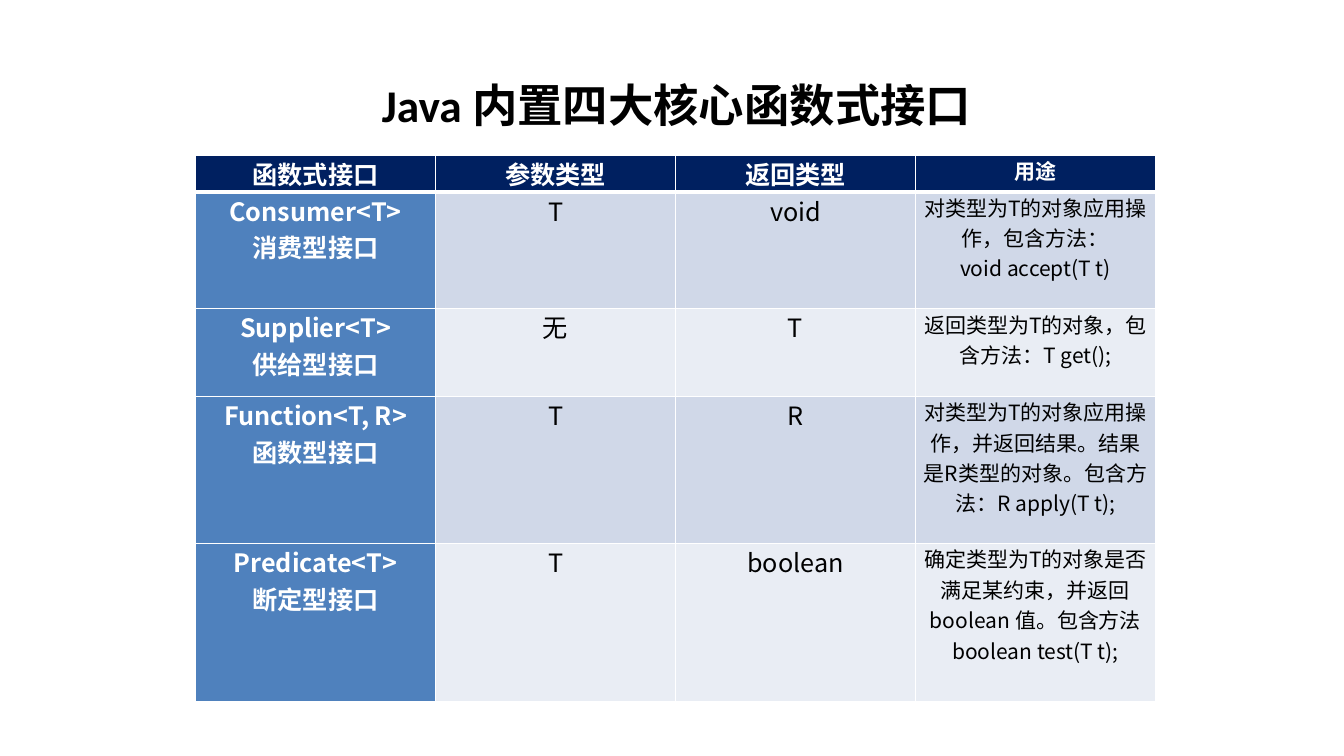
import pptx
import pptx.dml.color
import pptx.enum.text
import pptx.oxml.ns
import pptx.util
from lxml import etree

Inches = pptx.util.Inches
Pt = pptx.util.Pt
RGBColor = pptx.dml.color.RGBColor
qn = pptx.oxml.ns.qn

BLACK = RGBColor(0x00, 0x00, 0x00)
WHITE = RGBColor(0xFF, 0xFF, 0xFF)
NAVY = RGBColor(0x00, 0x20, 0x60)
BLUE = RGBColor(0x4F, 0x81, 0xBD)
BANDS = (RGBColor(0xD0, 0xD8, 0xE8), RGBColor(0xE9, 0xED, 0xF4))
CJK_FONT = "Noto Sans CJK SC"

TITLE = "Java 内置四大核心函数式接口"
HEADER = ("函数式接口", "参数类型", "返回类型", "用途")
INTERFACES = (
    ("Consumer<T>\n消费型接口", "T", "void",
     "对类型为T的对象应用操作，包含方法：\nvoid accept(T t)"),
    ("Supplier<T>\n供给型接口", "无", "T",
     "返回类型为T的对象，包含方法：T get();"),
    ("Function<T, R>\n函数型接口", "T", "R",
     "对类型为T的对象应用操作，并返回结果。结果是R类型的对象。包含方法：R apply(T t);"),
    ("Predicate<T>\n断定型接口", "T", "boolean",
     "确定类型为T的对象是否满足某约束，并返回 boolean 值。包含方法\nboolean test(T t);"),
)
ROW_HEIGHTS = (0.29, 1.16, 0.87, 1.46, 1.57)


def write_text(frame, text, *, size, color=BLACK, bold=False, font=CJK_FONT):
    for index, line in enumerate(text.split("\n")):
        paragraph = frame.add_paragraph() if index else frame.paragraphs[0]
        paragraph.alignment = pptx.enum.text.PP_ALIGN.CENTER
        run = paragraph.add_run()
        run.text = line
        run.font.size = Pt(size)
        run.font.bold = bold
        run.font.color.rgb = color
        run.font.name = font
        east_asian = etree.SubElement(run.font._element, qn("a:ea"))
        east_asian.set("typeface", CJK_FONT)


class InterfaceSlide:
    header_size = 18
    usage_size = 15
    column_width = 2.38

    def __init__(self, presentation):
        self.slide = presentation.slides.add_slide(presentation.slide_layouts[5])

    def add_title(self, text, left, top, width, height):
        title = self.slide.shapes.title
        title.left, title.top = Inches(left), Inches(top)
        title.width, title.height = Inches(width), Inches(height)
        frame = title.text_frame
        frame.margin_left = frame.margin_right = 0
        frame.auto_size = pptx.enum.text.MSO_AUTO_SIZE.NONE
        frame.vertical_anchor = pptx.enum.text.MSO_ANCHOR.MIDDLE
        write_text(frame, text, size=32.4, bold=True, font="Calibri")

    def add_borders(self, cell, top, bottom):
        properties = cell._tc.get_or_add_tcPr()
        for side, width in (("L", 1), ("R", 1), ("T", top), ("B", bottom)):
            line = etree.SubElement(properties, qn(f"a:ln{side}"), w=str(Pt(width)))
            fill = etree.SubElement(line, qn("a:solidFill"))
            etree.SubElement(fill, qn("a:srgbClr"), val=str(WHITE))

    def add_table(self, rows, left, top):
        columns = len(rows[0])
        table = self.slide.shapes.add_table(
            len(rows), columns, Inches(left), Inches(top),
            Inches(self.column_width * columns), Inches(sum(ROW_HEIGHTS))).table
        table.horz_banding = False
        for column in table.columns:
            column.width = Inches(self.column_width)
        for row_index, texts in enumerate(rows):
            table.rows[row_index].height = Inches(ROW_HEIGHTS[row_index])
            for column_index, text in enumerate(texts):
                self.fill_cell(table.cell(row_index, column_index),
                               text, row_index, column_index)

    def fill_cell(self, cell, text, row, column):
        cell.margin_left = cell.margin_right = Inches(0.07)
        cell.margin_top = cell.margin_bottom = 0
        self.add_borders(cell, 3 if row == 1 else 1, 3 if row == 0 else 1)
        cell.fill.solid()
        if row == 0:
            cell.fill.fore_color.rgb = NAVY
        elif column == 0:
            cell.fill.fore_color.rgb = BLUE
        else:
            cell.fill.fore_color.rgb = BANDS[(row - 1) % 2]
        heading = row == 0 or column == 0
        write_text(cell.text_frame, text,
                   size=self.usage_size if column == 3 else self.header_size,
                   color=WHITE if heading else BLACK, bold=heading)


def main():
    presentation = pptx.Presentation()
    presentation.slide_width = Inches(13.33)
    presentation.slide_height = Inches(7.5)
    interface_slide = InterfaceSlide(presentation)
    interface_slide.add_title(TITLE, 3.61, 0.6, 6.2, 0.87)
    interface_slide.add_table((HEADER,) + INTERFACES, 1.94, 1.54)
    presentation.save("out.pptx")


if __name__ == "__main__":
    main()
